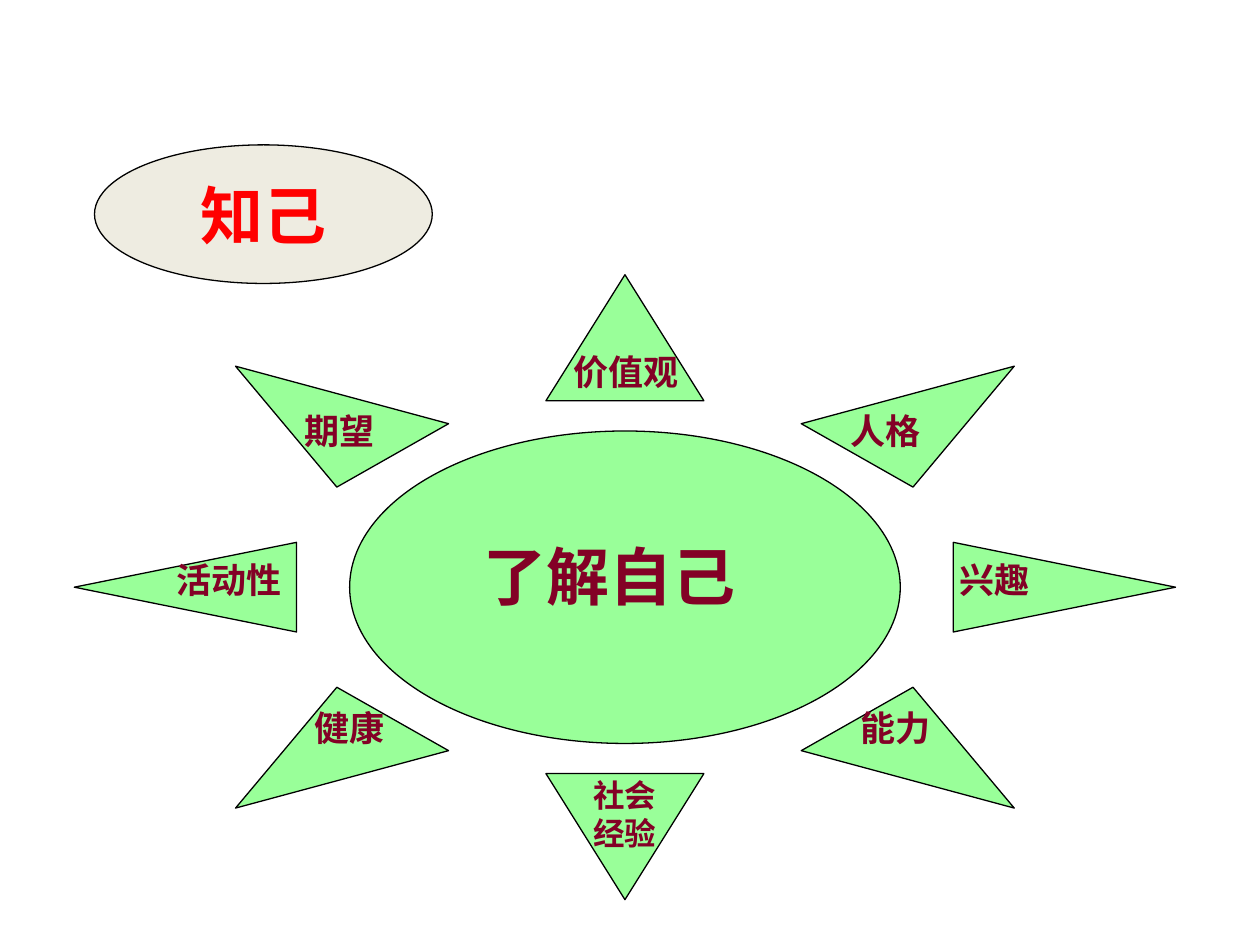
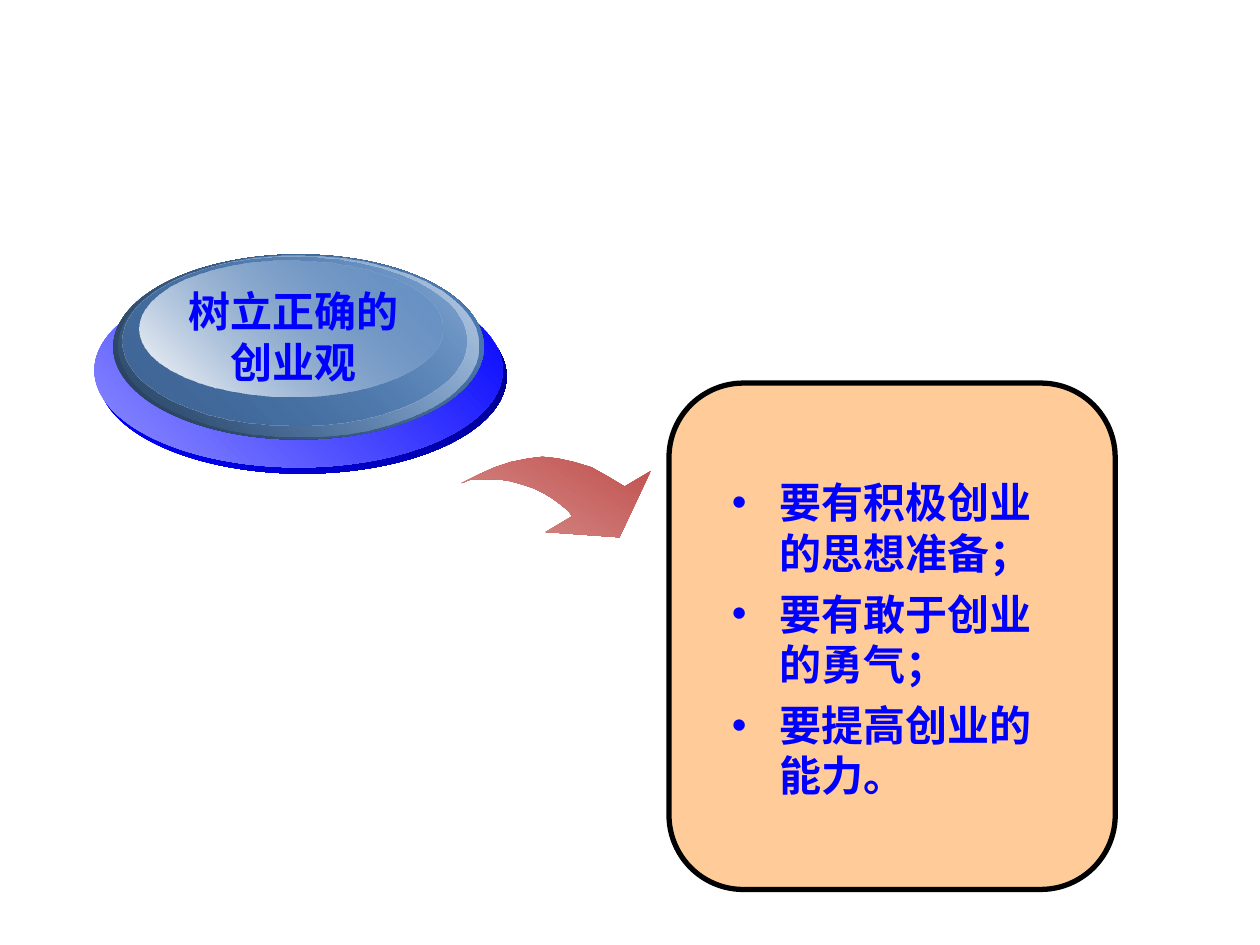
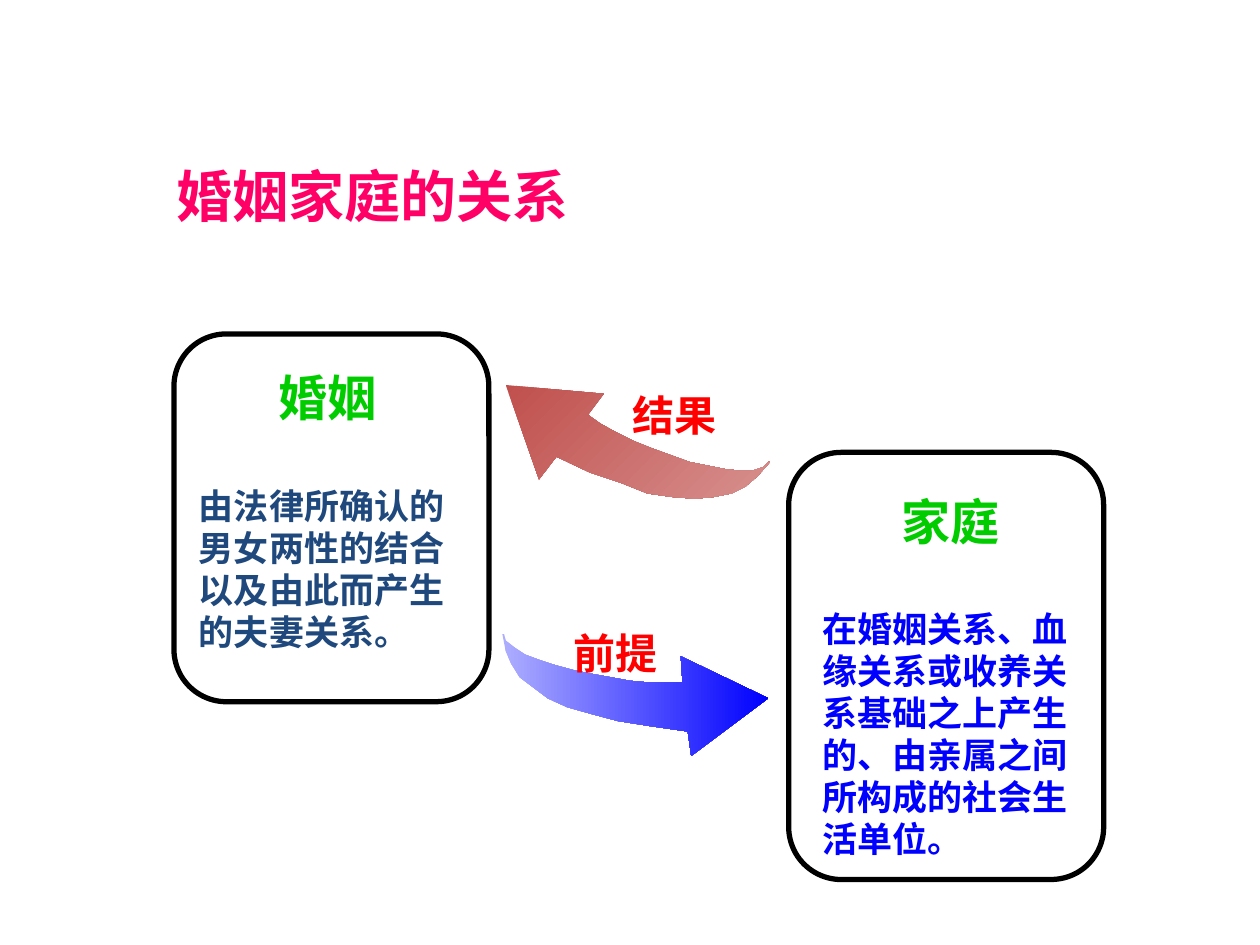
from dataclasses import dataclass
from typing import NamedTuple, Optional

import pptx
import pptx.dml.color
import pptx.enum.shapes
import pptx.enum.text
import pptx.oxml
import pptx.oxml.ns
import pptx.util
from pptx.util import Pt

MSO_SHAPE = pptx.enum.shapes.MSO_SHAPE
PP_ALIGN = pptx.enum.text.PP_ALIGN
MSO_ANCHOR = pptx.enum.text.MSO_ANCHOR
qn = pptx.oxml.ns.qn


@dataclass(frozen=True)
class Theme:
    latin: str = "Arial"
    cjk: str = "Noto Sans CJK SC"
    black: str = "000000"
    white: str = "FFFFFF"
    red: str = "FF0000"
    pink: str = "FF0066"
    maroon: str = "830126"
    green: str = "00CC00"
    blue: str = "0000FF"
    navy: str = "1F497D"
    steel: str = "4F81BD"
    sun: str = "99FF99"
    cream: str = "EEECE1"
    peach: str = "FFCC99"
    brick: str = "C0504D"
    rose: str = "D7908E"
    lavender: str = "AEAEFF"
    hero: int = 36
    title: int = 32
    heading: int = 28
    text: int = 24
    body: int = 20
    small: int = 18
    thin: float = 0.75
    thick: float = 3


THEME = Theme()


class Box(NamedTuple):
    left: float
    top: float
    width: float
    height: float


class Line(NamedTuple):
    text: str
    size: float
    color: str
    font: str = THEME.latin
    centered: bool = False
    before: float = 0
    bullet: bool = False


class Stop(NamedTuple):
    color: str
    opacity: int = 100


class Gradient(NamedTuple):
    start: Stop
    end: Stop
    clockwise: float


class Label(NamedTuple):
    text: str
    box: Box
    size: float = THEME.body


class Disc(NamedTuple):
    box: Box
    start: Stop
    end: Stop


class Card(NamedTuple):
    frame: Box
    text_box: Box
    heading: str
    heading_font: str
    body: str
    body_color: str


class Arrow(NamedTuple):
    outline: list[tuple[float, float]]
    gradient: Gradient


def rgb(value: str):
    return pptx.dml.color.RGBColor.from_string(value)


def points(box: Box) -> list:
    return [Pt(length) for length in box]


def write(frame, lines: list[Line], wrap: bool = True, anchor=MSO_ANCHOR.TOP) -> None:
    frame.word_wrap = wrap
    frame.auto_size = pptx.enum.text.MSO_AUTO_SIZE.NONE
    frame.vertical_anchor = anchor
    frame.margin_left = frame.margin_right = Pt(7.2)
    frame.margin_top = frame.margin_bottom = Pt(3.6)
    for index, line in enumerate(lines):
        paragraph = frame.add_paragraph() if index else frame.paragraphs[0]
        paragraph.text = line.text
        paragraph.alignment = PP_ALIGN.CENTER if line.centered else PP_ALIGN.LEFT
        paragraph.space_before = Pt(line.before)
        if line.bullet:
            add_bullet(paragraph, line.color)
        font = paragraph.font
        font.size, font.bold, font.name = Pt(line.size), True, line.font
        font.color.rgb = rgb(line.color)
        properties = paragraph._p.pPr.find(qn("a:defRPr"))
        east_asian = pptx.oxml.parse_xml(
            f'<a:ea {pptx.oxml.ns.nsdecls("a")} typeface="{THEME.cjk}"/>')
        properties.find(qn("a:latin")).addnext(east_asian)


def add_bullet(paragraph, color: str) -> None:
    properties = paragraph._p.get_or_add_pPr()
    properties.set("marL", str(Pt(27)))
    properties.set("indent", str(Pt(-27)))
    namespace = pptx.oxml.ns.nsdecls("a")
    for xml in (f'<a:buClr {namespace}><a:srgbClr val="{color}"/></a:buClr>',
                f'<a:buFont {namespace} typeface="{THEME.latin}"/>',
                f'<a:buChar {namespace} char="•"/>'):
        properties.append(pptx.oxml.parse_xml(xml))


def add_text(slide, box: Box, lines: list[Line], wrap: bool = True) -> None:
    write(slide.shapes.add_textbox(*points(box)).text_frame, lines, wrap)


def style(shape, fill: Optional[str] = None, line_width: float = 0) -> None:
    shape.shadow.inherit = False
    if fill:
        shape.fill.solid()
        shape.fill.fore_color.rgb = rgb(fill)
    else:
        shape.fill.background()
    if line_width:
        shape.line.color.rgb = rgb(THEME.black)
        shape.line.width = Pt(line_width)
    else:
        shape.line.fill.background()


def shade(shape, gradient: Gradient) -> None:
    style(shape)
    shape.fill.gradient()
    shape.fill.gradient_angle = (360 - gradient.clockwise) % 360
    stop_colors = (gradient.start, gradient.end)
    for stop, wanted in zip(shape.fill.gradient_stops, stop_colors):
        stop.color.rgb = rgb(wanted.color)
    elements = shape.element.spPr.iter(qn("a:gs"))
    for element, wanted in zip(elements, stop_colors):
        if wanted.opacity < 100:
            alpha = pptx.oxml.parse_xml(
                f'<a:alpha {pptx.oxml.ns.nsdecls("a")} val="{wanted.opacity * 1000}"/>')
            element[0].append(alpha)


def add_shape(slide, kind, box: Box, fill: Optional[str], line_width: float):
    shape = slide.shapes.add_shape(kind, *points(box))
    style(shape, fill, line_width)
    return shape


def add_arrow(slide, arrow: Arrow) -> None:
    builder = slide.shapes.build_freeform(*arrow.outline[0], scale=Pt(1))
    builder.add_line_segments(arrow.outline[1:], close=True)
    shade(builder.convert_to_shape(), arrow.gradient)


def add_card(slide, card: Card) -> None:
    add_shape(slide, MSO_SHAPE.ROUNDED_RECTANGLE, card.frame, None, THEME.thick)
    add_text(slide, card.text_box, [
        Line(card.heading, THEME.heading, THEME.green, card.heading_font, centered=True),
        Line(card.body, THEME.body, card.body_color, card.heading_font, before=33),
    ])


def set_title(slide, box: Box, line: Line, anchor=MSO_ANCHOR.TOP):
    title = slide.shapes.title
    title.left, title.top, title.width, title.height = points(box)
    write(title.text_frame, [line], anchor=anchor)
    return title


SUN_LABELS = [
    Label("了解自己", Box(269.3, 303.8, 185.8, 50.4), THEME.hero),
    Label("活动性", Box(93.6, 315.4, 90.7, 31.7)),
    Label("健康", Box(172.8, 400.3, 95.8, 31.7)),
    Label("期望", Box(167, 230.4, 90, 31.7)),
    Label("价值观", Box(320.4, 196.6, 79.2, 31.7)),
    Label("人格", Box(478.8, 230.4, 57.6, 31.7)),
    Label("兴趣", Box(541.4, 315.4, 66.2, 31.7)),
    Label("能力", Box(484.6, 400.3, 73.4, 31.7)),
    Label("社会经验", Box(331.9, 439.9, 53.3, 50.4), THEME.small),
]

DISCS = [
    Disc(Box(56.2, 159.8, 233.3, 110.9), Stop(THEME.blue), Stop("00007C")),
    Disc(Box(54, 156.2, 233.3, 110.9), Stop("8E8EFF"), Stop(THEME.blue)),
    Disc(Box(64.8, 145.4, 211.7, 105.8), Stop("253C57"), Stop(THEME.steel)),
    Disc(Box(67.7, 146.2, 205.9, 103), Stop(THEME.steel, 0), Stop("C2D3E8")),
    Disc(Box(69.8, 146.9, 196.6, 96.5), Stop("3F6696"), Stop(THEME.steel, 48)),
    Disc(Box(79.9, 149, 172.8, 77.8), Stop(THEME.white), Stop(THEME.steel, 38)),
]

TO_ATTITUDES = Arrow([
    (263.5, 276.5), (273.6, 270.7), (283, 267.1), (292.3, 263.5), (301.7, 262.1),
    (310.3, 261.4), (319, 262.1), (328.3, 264.2), (337.7, 267.1), (347, 272.2),
    (357.1, 277.9), (372.2, 269.3), (353.5, 306.7), (311.8, 303.8), (326.9, 295.2),
    (324.7, 291.6), (320.4, 288), (316.1, 285.1), (311, 282.2), (304.6, 279.4),
    (298.8, 277.2), (292.3, 275), (285.8, 273.6), (279.4, 273.6), (273.6, 273.6),
    (268.6, 274.3),
], Gradient(Stop(THEME.brick), Stop(THEME.rose), 120))

PREMISE = Arrow([
    (287.3, 362.2), (288.7, 371.5), (292.3, 379.4), (297.4, 386.6), (304.6, 393.1),
    (313.2, 398.9), (324, 403.9), (337.7, 408.2), (352.8, 411.8), (371.5, 415.4),
    (393.1, 417.6), (394.6, 432), (439.2, 398.9), (388.8, 375.1), (390.2, 389.5),
    (380.9, 390.2), (370.8, 389.5), (360, 388.8), (349.2, 387.4), (337.7, 385.2),
    (327.6, 383), (316.8, 380.2), (308.2, 377.3), (299.5, 373.7), (293.8, 370.1),
    (289.4, 366.5), (288, 362.2),
], Gradient(Stop(THEME.lavender), Stop(THEME.blue), 0))

RESULT = Arrow([
    (439.9, 264.2), (433.4, 272.2), (426.2, 277.9), (417.6, 282.2), (407.5, 284.4),
    (396.7, 285.1), (384.5, 283.7), (370.1, 281.5), (355, 276.5), (337, 270),
    (317.5, 261.4), (308.2, 273.6), (288.7, 220.3), (344.9, 224.6), (335.5, 236.9),
    (343.4, 241.9), (352.1, 247), (362.2, 252), (372.2, 255.6), (383, 259.9),
    (393.8, 263.5), (403.9, 265.7), (414, 267.8), (422.6, 268.6), (429.8, 268.6),
    (435.6, 267.1), (439.2, 264.2),
], Gradient(Stop(THEME.brick), Stop(THEME.rose), 45))

ATTITUDES = ["要有积极创业的思想准备；", "要有敢于创业的勇气；", "要提高创业的能力。"]

CARDS = [
    Card(Box(99.4, 190.8, 180, 210.2), Box(106.6, 206.6, 160.6, 170.6), "婚姻", THEME.latin,
         "由法律所确认的男女两性的结合以及由此而产生的夫妻关系。", THEME.navy),
    Card(Box(450.7, 258.5, 180, 244.1), Box(463, 277.2, 160.6, 218.9), "家庭", THEME.cjk,
         "在婚姻关系、血缘关系或收养关系基础之上产生的、由亲属之间所构成的社会生活单位。",
         THEME.blue),
]

ARROW_LABELS = [
    Label("前提", Box(320.4, 355, 75.6, 37.4), THEME.text),
    Label("结果", Box(354.2, 218.9, 75.6, 37.4), THEME.text),
]


def build_self_knowledge(slide) -> None:
    add_shape(slide, MSO_SHAPE.SUN, Box(42.5, 157, 629.3, 357.1), THEME.sun, THEME.thin)
    for label in SUN_LABELS:
        add_text(slide, label.box, [Line(label.text, label.size, THEME.maroon)])
    badge_box = Box(54, 82.8, 193, 79.2)
    title = set_title(slide, badge_box,
                      Line("知己", THEME.hero, THEME.red, centered=True), MSO_ANCHOR.MIDDLE)
    badge = add_shape(slide, MSO_SHAPE.OVAL, badge_box, THEME.cream, THEME.thin)
    title.element.addprevious(badge.element)


def build_entrepreneurship(slide) -> None:
    add_arrow(slide, TO_ATTITUDES)
    for disc in DISCS:
        oval = slide.shapes.add_shape(MSO_SHAPE.OVAL, *points(disc.box))
        shade(oval, Gradient(disc.start, disc.end, 315))
    add_text(slide, Box(100.8, 159.8, 133.9, 64.8), [
        Line(text, THEME.text, THEME.blue, centered=True)
        for text in ("树立正确的", "创业观")
    ], wrap=False)
    add_shape(slide, MSO_SHAPE.ROUNDED_RECTANGLE, Box(382.3, 218.9, 255, 289.4),
              THEME.peach, THEME.thick)
    add_text(slide, Box(411.1, 269, 187.2, 200), [
        Line(text, THEME.text, THEME.blue, THEME.cjk, before=6 if index else 0, bullet=True)
        for index, text in enumerate(ATTITUDES)
    ])


def build_marriage_and_family(slide) -> None:
    set_title(slide, Box(93.6, 88.6, 277.9, 46.1),
              Line("婚姻家庭的关系", THEME.title, THEME.pink))
    for card in CARDS:
        add_card(slide, card)
    for arrow in (PREMISE, RESULT):
        add_arrow(slide, arrow)
    for label in ARROW_LABELS:
        add_text(slide, label.box, [Line(label.text, label.size, THEME.red, THEME.cjk)])


def main() -> None:
    deck = pptx.Presentation()
    deck.slide_width, deck.slide_height = Pt(720), Pt(540)
    title_only, blank = deck.slide_layouts[5], deck.slide_layouts[6]
    build_self_knowledge(deck.slides.add_slide(title_only))
    build_entrepreneurship(deck.slides.add_slide(blank))
    build_marriage_and_family(deck.slides.add_slide(title_only))
    deck.save("out.pptx")


if __name__ == "__main__":
    main()
